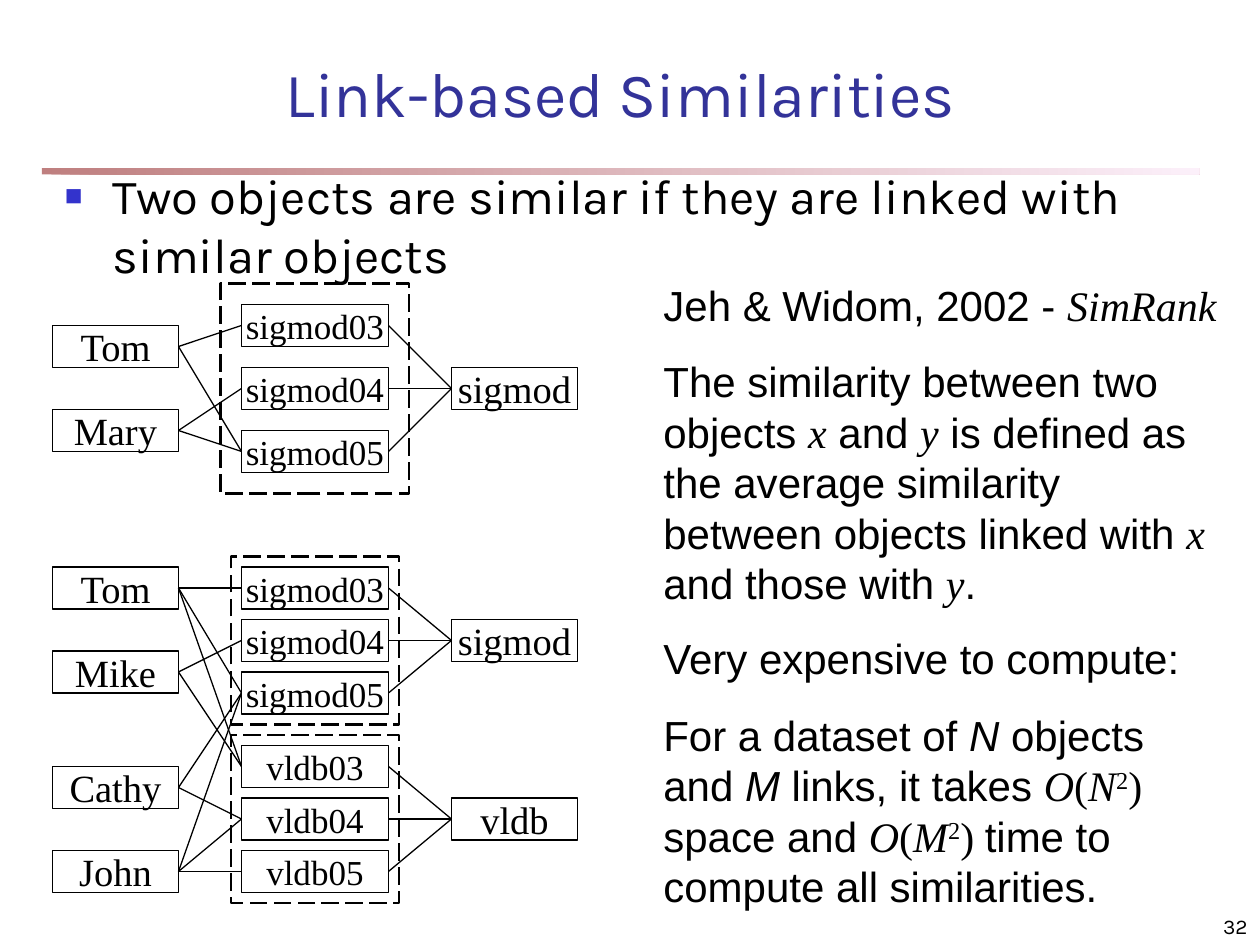
from lxml import etree
from pptx import Presentation
from pptx.dml.color import RGBColor
from pptx.enum.dml import MSO_LINE
from pptx.enum.shapes import MSO_CONNECTOR, MSO_SHAPE
from pptx.enum.text import MSO_ANCHOR, PP_ALIGN
from pptx.oxml.ns import qn
from pptx.util import Inches, Pt

RECT = MSO_SHAPE.RECTANGLE
LINE = MSO_CONNECTOR.STRAIGHT
DASH = MSO_LINE.LONG_DASH
LEFT, MID, RIGHT = PP_ALIGN.LEFT, PP_ALIGN.CENTER, PP_ALIGN.RIGHT
TOP, CORE, BASE = MSO_ANCHOR.TOP, MSO_ANCHOR.MIDDLE, MSO_ANCHOR.BOTTOM

COLS, ROWS = 120, 90
UNIT = Inches(10) / COLS
HIGH = 4  # rows in a node
SERIF = "Times New Roman"
INK = {"text": "000000", "title": "333399", "mark": "3333CC",
       "paper": "FFFFFF", "red": "800000", "pink": "FAE2F6"}
# Run styles: font, italic, raised
LOOK = {"math": (SERIF, True, False), "serif": (SERIF, False, False),
        "sup": (SERIF, False, True), "slant": ("Arial", True, False)}


def tint(name):
    return RGBColor.from_string(INK[name])


def span(*cells):
    """Turn grid cells into slide lengths."""
    return [round(c * UNIT) for c in cells]


def write(shape, paras, size, font="Arial", ink="text", align=LEFT, anchor=TOP,
          wrap=True, pad=(0.1, 0.05), gap=0, bullet=False):
    """Fill a shape; each paragraph is a list of strings or (string, look) pairs."""
    frame = shape.text_frame
    frame.word_wrap = wrap
    frame.vertical_anchor = anchor
    frame.margin_left = frame.margin_right = Inches(pad[0])
    frame.margin_top = frame.margin_bottom = Inches(pad[1])
    for i, runs in enumerate(paras):
        para = frame.add_paragraph() if i else frame.paragraphs[0]
        para.alignment = align
        para.space_before = Pt(gap if i else 0)
        if bullet:
            mark(para)
        for item in runs:
            words, look = (item, None) if isinstance(item, str) else item
            face, slant, raised = LOOK.get(look, (font, False, False))
            run = para.add_run()
            run.text = words
            run.font.name, run.font.size = face, Pt(size)
            run.font.italic = slant
            run.font.color.rgb = tint(ink)
            if raised:
                run.font._element.set("baseline", "30000")


def mark(para):
    """Give a paragraph a small square bullet and a hanging indent."""
    props = para._p.get_or_add_pPr()
    props.set("marL", str(Inches(0.38)))
    props.set("indent", str(-Inches(0.38)))
    color = etree.SubElement(props, qn("a:buClr"))
    etree.SubElement(color, qn("a:srgbClr"), val=INK["mark"])
    etree.SubElement(props, qn("a:buSzPct"), val="60000")
    etree.SubElement(props, qn("a:buFont"), typeface="Arial")
    etree.SubElement(props, qn("a:buChar"), char="■")


def rect(slide, box, fill=None, width=0.75, dash=None):
    shape = slide.shapes.add_shape(RECT, *span(*box))
    shape.shadow.inherit = False
    if fill:
        shape.fill.solid()
        shape.fill.fore_color.rgb = tint(fill)
    else:
        shape.fill.background()
    shape.line.color.rgb = tint("text")
    shape.line.width = Pt(width)
    if dash:
        shape.line.dash_style = dash
    return shape


def node(slide, name, box, paper=False):
    shape = rect(slide, box, "paper" if paper else None)
    write(shape, [[name]], 20 if paper else 22, SERIF, align=MID, anchor=CORE,
          wrap=False, pad=(0.05, 0) if paper else (0.1, 0.05))


def link(slide, start, end):
    wire = slide.shapes.add_connector(LINE, *span(*start, *end))
    wire.line.color.rgb = tint("text")
    wire.line.width = Pt(0.75)
    etree.SubElement(wire._element.spPr, qn("a:effectLst"))


def graph(slide, box, people, papers, venues, frames):
    """Draw authors, papers and venues in three columns.

    People and venues map a name to its row and its papers' numbers.
    """
    left, top = box
    mid = HIGH / 2
    wide, broad, step = 12, 14, 6
    inner = left + wide + step
    outer = inner + broad + step
    ports = [top + row + mid for _, row in papers]
    for name, (row, ends) in people.items():
        node(slide, name, (left, top + row, wide, HIGH))
        for end in ends:
            link(slide, (left + wide, top + row + mid), (inner, ports[end]))
    for name, row in papers:
        node(slide, name, (inner, top + row, broad, HIGH), True)
    for name, (row, ends) in venues.items():
        node(slide, name, (outer, top + row, wide, HIGH))
        for end in ends:
            link(slide, (inner + broad, ports[end]), (outer, top + row + mid))
    for col, row, width, height in frames:
        rect(slide, (left + col, top + row, width, height), width=1.25, dash=DASH)


def label(slide, box, paras, size, **form):
    write(slide.shapes.add_textbox(*span(*box)), paras, size, **form)


def head(slide, box):
    left, top, width, height = box
    bar = rect(slide, (left - 4, top + 11, width + 8, 0.6))
    bar.line.fill.background()
    bar.fill.gradient()
    bar.fill.gradient_angle = 0
    for stop, name in zip(bar.fill.gradient_stops, ("red", "pink")):
        stop.color.rgb = tint(name)
    for color in bar._element.iter(qn("a:srgbClr")):
        etree.SubElement(color, qn("a:alpha"), val="50000")
    title = slide.shapes.title
    title.left, title.top, title.width, title.height = span(*box)
    write(title, [["Link-based Similarities"]], 36, "Karla", "title",
          align=MID, anchor=BASE)


def notes(slide, box):
    """Set the text column on the right."""
    left, top, width, height = box
    define = [
        ["Jeh & Widom, 2002 - ", ("SimRank", "math")],
        ["The similarity between two objects ", ("x", "math"), " and ",
         ("y", "math"), " is defined as the average similarity between "
         "objects linked with ", ("x", "math"), " and those with ",
         ("y", "math"), "."]]
    cost = [
        ["Very expensive to compute:"],
        ["For a dataset of ", ("N", "slant"), " objects and ", ("M", "slant"),
         " links, it takes ", ("O", "math"), ("(", "serif"), ("N", "math"),
         ("2", "sup"), (")", "serif"), " space and ", ("O", "math"),
         ("(", "serif"), ("M", "math"), ("2", "sup"), (") ", "serif"),
         "time to compute all similarities."]]
    drop = height * 0.55
    label(slide, (left, top, width, drop), define, 24, gap=15)
    label(slide, (left, top + drop, width - 3, height - drop), cost, 24, gap=15)


def main():
    deck = Presentation()
    deck.slide_width, deck.slide_height = span(COLS, ROWS)
    slide = deck.slides.add_slide(deck.slide_layouts[5])
    head(slide, (8, 5, 102.2, 8))
    label(slide, (5, 15.2, 110, 13),
          [["Two objects are similar if they are linked with similar objects"]],
          28, font="Karla", bullet=True)
    graph(slide, (5, 27),
          {"Tom": (4, (0, 2)), "Mary": (12, (1, 2))},
          [(f"sigmod0{i + 3}", 2 + 6 * i) for i in range(3)],
          {"sigmod": (8, (0, 1, 2))},
          [(16, 0, 18, 20)])
    graph(slide, (5, 53),
          {"Tom": (1, (0, 2, 3)), "Mike": (9, (1, 3)),
           "Cathy": (20, (2, 4)), "John": (28, (2, 4, 5))},
          [(f"{name}0{i + 3}", row + 5 * i)
           for name, row in (("sigmod", 1), ("vldb", 18)) for i in range(3)],
          {"sigmod": (6, (0, 1, 2)), "vldb": (23, (3, 4, 5))},
          [(17, row, 16, 16) for row in (0, 17)])
    notes(slide, (62, 26, 56, 61.2))
    label(slide, (95, 85, 25, 5), [["32"]], 12, font="Karla", align=RIGHT,
          anchor=BASE)
    deck.save("out.pptx")


if __name__ == "__main__":
    main()
